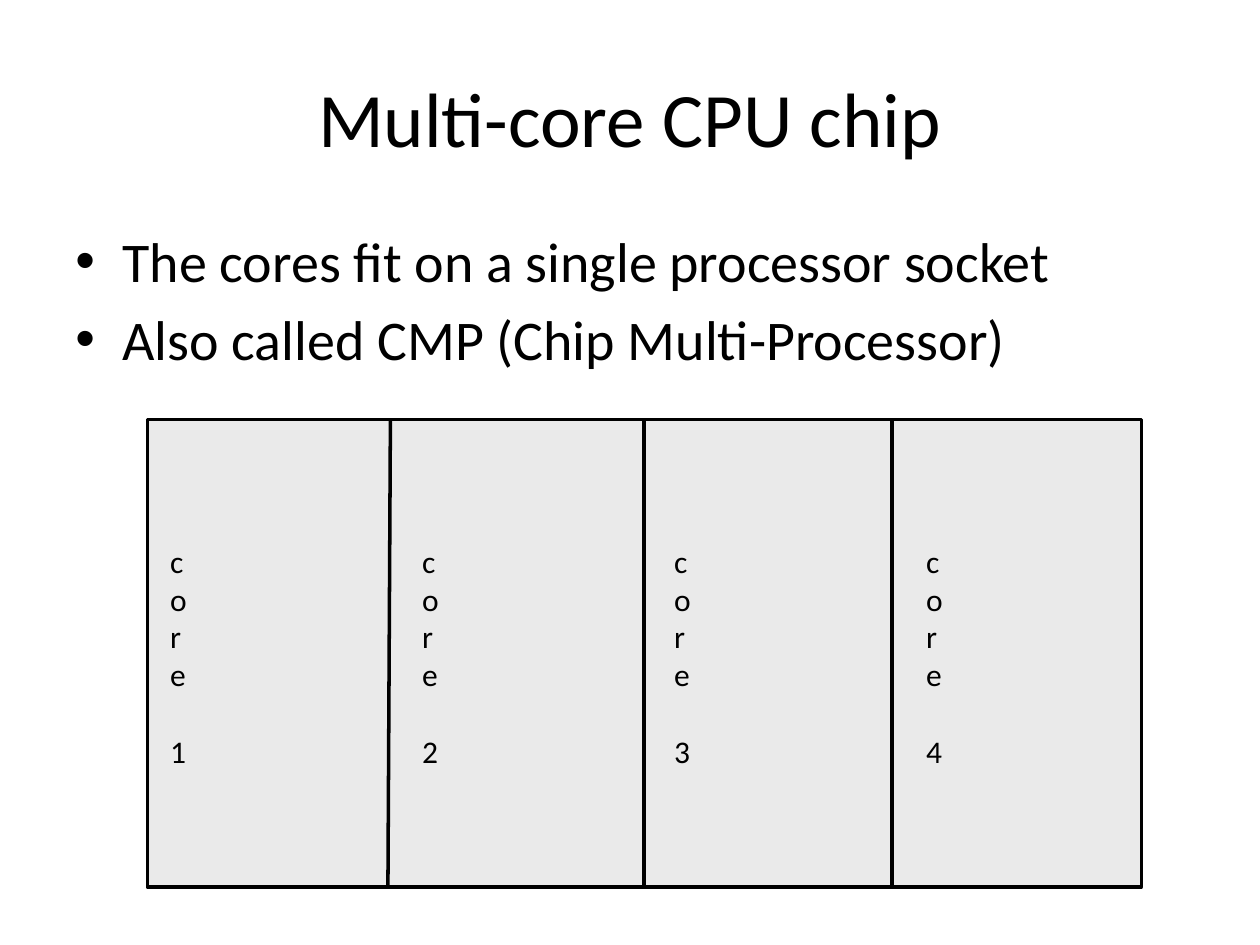
from dataclasses import dataclass

from lxml.etree import SubElement
from pptx import Presentation
from pptx.dml.color import RGBColor
from pptx.enum.shapes import MSO_CONNECTOR, MSO_SHAPE
from pptx.enum.text import MSO_ANCHOR, PP_ALIGN
from pptx.oxml.ns import qn
from pptx.slide import Slide
from pptx.text.text import TextFrame
from pptx.util import Cm, Pt

BLACK = RGBColor(0x00, 0x00, 0x00)
CHIP_GRAY = RGBColor(0xEA, 0xEA, 0xEA)
OUTLINE = Pt(2)
BULLET_INDENT = Cm(0.95)
CHIP_LEFT, CHIP_TOP, CHIP_WIDTH, CHIP_HEIGHT = 2.97, 8.46, 20.04, 9.42
LABEL_LEFT, LABEL_STEP = 3.18, 5.08


@dataclass(frozen=True)
class TextBlock:
    """A text area in centimetres with its lines and formats."""

    left: float
    top: float
    width: float
    height: float
    lines: tuple[str, ...]
    font: dict
    paragraph: dict
    anchor: MSO_ANCHOR = MSO_ANCHOR.TOP


@dataclass(frozen=True)
class Divider:
    """A line between two cores, from the chip's top to its bottom edge."""

    top_x: float
    bottom_x: float


def font_format(size: int) -> dict:
    """Return the font attributes for a point size."""
    return {"name": "Calibri", "size": Pt(size)}


def set_attributes(target: object, values: dict) -> None:
    """Set every attribute named in the format values."""
    for attribute, value in values.items():
        setattr(target, attribute, value)


def draw_text(slide: Slide, block: TextBlock) -> TextFrame:
    """Draw a text block and return its frame."""
    area = map(Cm, (block.left, block.top, block.width, block.height))
    frame = slide.shapes.add_textbox(*area).text_frame
    set_attributes(frame, {"word_wrap": True, "vertical_anchor": block.anchor})
    frame.text = "\n".join(block.lines)
    for paragraph in frame.paragraphs:
        set_attributes(paragraph, block.paragraph)
        for run in paragraph.runs:
            set_attributes(run.font, block.font)
            run.font.color.rgb = BLACK
    return frame


def add_bullets(frame: TextFrame) -> None:
    """Give each paragraph a round bullet and a hanging indent."""
    for paragraph in frame.paragraphs:
        properties = paragraph._p.get_or_add_pPr()
        properties.set("marL", str(BULLET_INDENT))
        properties.set("indent", str(-BULLET_INDENT))
        SubElement(properties, qn("a:buFont"), typeface="Arial")
        SubElement(properties, qn("a:buChar"), char="•")


def draw_chip(slide: Slide) -> None:
    """Draw the chip outline."""
    area = map(Cm, (CHIP_LEFT, CHIP_TOP, CHIP_WIDTH, CHIP_HEIGHT))
    chip = slide.shapes.add_shape(MSO_SHAPE.RECTANGLE, *area)
    chip.shadow.inherit = False
    chip.fill.solid()
    chip.fill.fore_color.rgb = CHIP_GRAY
    chip.line.color.rgb = BLACK
    chip.line.width = OUTLINE


def draw_core_label(slide: Slide, number: int) -> None:
    """Draw a core's name as a narrow column of letters."""
    left = LABEL_LEFT + (number - 1) * LABEL_STEP
    label = TextBlock(left, 10.8, 0.91, 4.83, ("core", str(number)), font_format(18), {})
    draw_text(slide, label).paragraphs[1].space_before = Pt(22)


def draw_divider(slide: Slide, divider: Divider) -> None:
    """Draw the line between two neighbouring cores."""
    ends = (divider.top_x, CHIP_TOP, divider.bottom_x, CHIP_TOP + CHIP_HEIGHT)
    border = slide.shapes.add_connector(MSO_CONNECTOR.STRAIGHT, *map(Cm, ends))
    border.line.color.rgb = BLACK
    border.line.width = OUTLINE
    SubElement(border._element.spPr, qn("a:effectLst"))


def main() -> None:
    """Build the multi-core chip slide."""
    presentation = Presentation()
    set_attributes(presentation, {"slide_width": Cm(25.4), "slide_height": Cm(19.05)})
    slide = presentation.slides.add_slide(presentation.slide_layouts[6])

    title = TextBlock(
        1.27, 0.76, 22.86, 3.18, ("Multi-core CPU chip",),
        font_format(44), {"alignment": PP_ALIGN.CENTER}, MSO_ANCHOR.MIDDLE,
    )
    facts = TextBlock(
        1.27, 4.45, 22.86, 12.57,
        ("The cores fit on a single processor socket",
         "Also called CMP (Chip Multi-Processor)"),
        font_format(32), {"space_after": Pt(6)},
    )
    draw_text(slide, title)
    add_bullets(draw_text(slide, facts))

    draw_chip(slide)
    for number in range(1, 5):
        draw_core_label(slide, number)
    for divider in (Divider(7.87, 7.82), Divider(12.98, 12.98), Divider(17.98, 17.98)):
        draw_divider(slide, divider)

    presentation.save("out.pptx")


if __name__ == "__main__":
    main()
